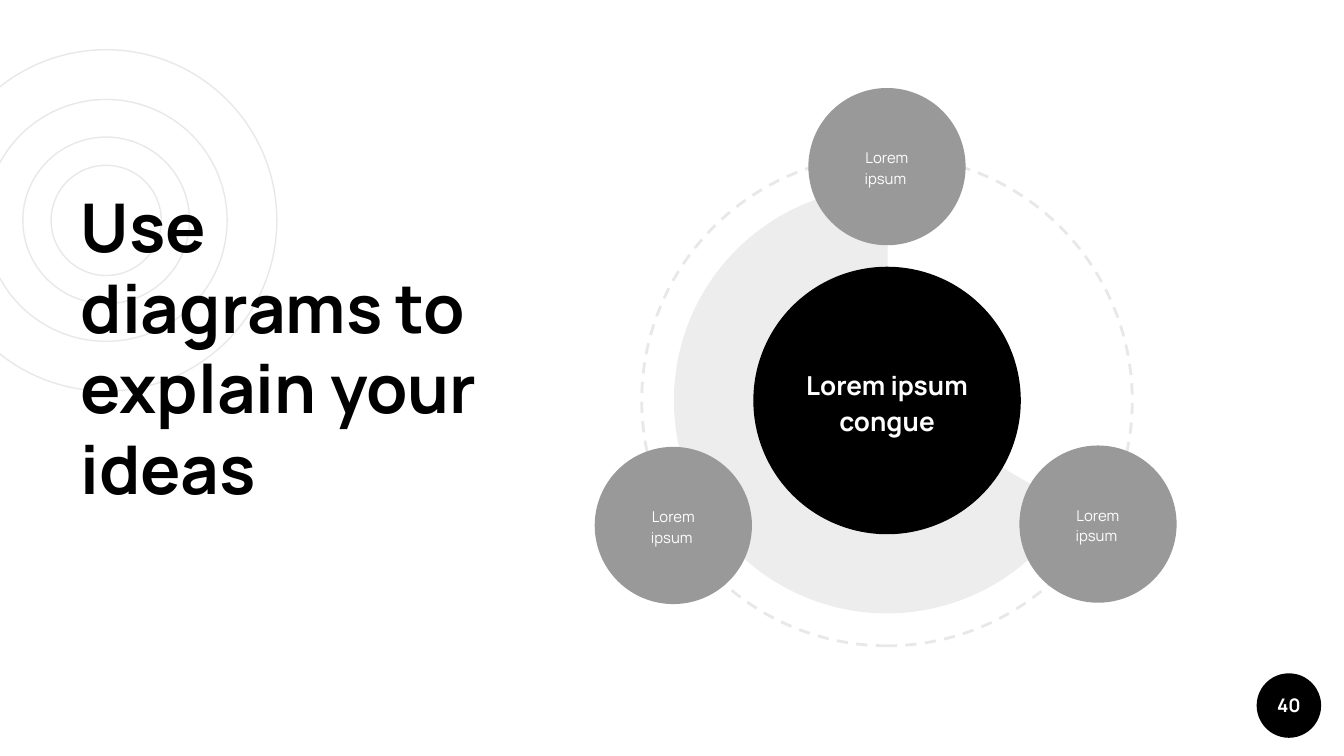
from dataclasses import dataclass

import pptx
import pptx.dml.color
import pptx.enum.dml
import pptx.enum.shapes
import pptx.enum.text
import pptx.oxml.ns
import pptx.util
from lxml import etree

Inches = pptx.util.Inches
Pt = pptx.util.Pt
SHAPE = pptx.enum.shapes.MSO_SHAPE
ALIGN = pptx.enum.text.PP_ALIGN
ANCHOR = pptx.enum.text.MSO_ANCHOR


@dataclass(frozen=True)
class Theme:
    font: str = "Manrope"
    dark: str = "000000"
    light: str = "FFFFFF"
    node: str = "999999"
    ring: str = "E8E8E8"
    title_size: int = 36
    hub_size: int = 14
    badge_size: int = 10
    node_size: int = 8


def rgb(value):
    return pptx.dml.color.RGBColor.from_string(value)


def write_text(tf, text, *, font, size, color, bold=False, align=ALIGN.CENTER,
               anchor=ANCHOR.MIDDLE, inset=0, spacing=None):
    tf.word_wrap = True
    tf.auto_size = pptx.enum.text.MSO_AUTO_SIZE.NONE
    tf.vertical_anchor = anchor
    tf.margin_left = tf.margin_right = Inches(inset)
    tf.margin_top = tf.margin_bottom = Inches(inset)
    p = tf.paragraphs[0]
    p.alignment = align
    if spacing:
        p.line_spacing = spacing
    r = p.add_run()
    r.text = text
    r.font.name = font
    r.font.size = Pt(size)
    r.font.bold = bold
    r.font.color.rgb = rgb(color)


class SlideBuilder:
    def __init__(self, slide, theme):
        self.s = slide
        self.theme = theme

    def round_shape(self, center, diameter, kind=SHAPE.OVAL):
        x, y = center
        sp = self.s.shapes.add_shape(
            kind, Inches(x - diameter / 2), Inches(y - diameter / 2),
            Inches(diameter), Inches(diameter))
        sp.shadow.inherit = False
        return sp

    def ring(self, center, diameter, width=0.75, dash=None):
        sp = self.round_shape(center, diameter)
        sp.fill.background()
        sp.line.color.rgb = rgb(self.theme.ring)
        sp.line.width = Pt(width)
        if dash:
            sp.line.dash_style = dash
        return sp

    def disc(self, center, diameter, fill, text, size, **style):
        sp = self.round_shape(center, diameter)
        sp.fill.solid()
        sp.fill.fore_color.rgb = rgb(fill)
        sp.line.fill.background()
        write_text(sp.text_frame, text, font=self.theme.font, size=size,
                   color=self.theme.light, **style)

    def sector(self, center, diameter, start, end, opacity):
        sp = self.round_shape(center, diameter, SHAPE.PIE)
        for i, degrees in enumerate((start, end)):
            sp.adjustments[i] = degrees * 0.6
        sp.fill.solid()
        sp.fill.fore_color.rgb = rgb(self.theme.dark)
        sp.line.fill.background()
        qn = pptx.oxml.ns.qn
        color = sp._element.spPr.find(qn("a:solidFill")).find(qn("a:srgbClr"))
        etree.SubElement(color, qn("a:alpha")).set("val", str(opacity * 1000))

    def title(self, text, x, y, w, h):
        sp = self.s.shapes.title
        sp.left, sp.top, sp.width, sp.height = map(Inches, (x, y, w, h))
        write_text(sp.text_frame, text, font=self.theme.font,
                   size=self.theme.title_size, color=self.theme.dark, bold=True,
                   align=ALIGN.LEFT, anchor=ANCHOR.TOP, inset=0.1)
        sp._element.getparent().append(sp._element)


def main():
    prs = pptx.Presentation()
    prs.slide_width = Inches(10)
    prs.slide_height = prs.slide_width * 9 // 16
    theme = Theme()
    b = SlideBuilder(prs.slides.add_slide(prs.slide_layouts[5]), theme)

    for diameter in (2.54, 1.8, 1.24, 0.82):
        b.ring((0.79, 1.64), diameter)
    b.title("Use diagrams to explain your ideas", 0.5, 1.28, 3.28, 3.22)
    b.disc((9.59, 5.25), 0.48, theme.dark, "40", theme.badge_size, bold=True)

    hub = (6.6, 2.98)
    orbit = b.ring(hub, 3.65, 1.5, pptx.enum.dml.MSO_LINE.DASH)
    orbit.rotation = 270
    b.sector(hub, 3.17, 30.19, 270.25, opacity=7)
    b.disc(hub, 1.99, theme.dark, "Lorem ipsum congue", theme.hub_size,
           bold=True, spacing=1.15)
    for center in ((6.6, 1.24), (5.01, 3.91), (8.17, 3.9)):
        b.disc(center, 1.17, theme.node, "Lorem ipsum ", theme.node_size,
               inset=0.1, spacing=1.15)

    prs.save("out.pptx")


if __name__ == "__main__":
    main()
